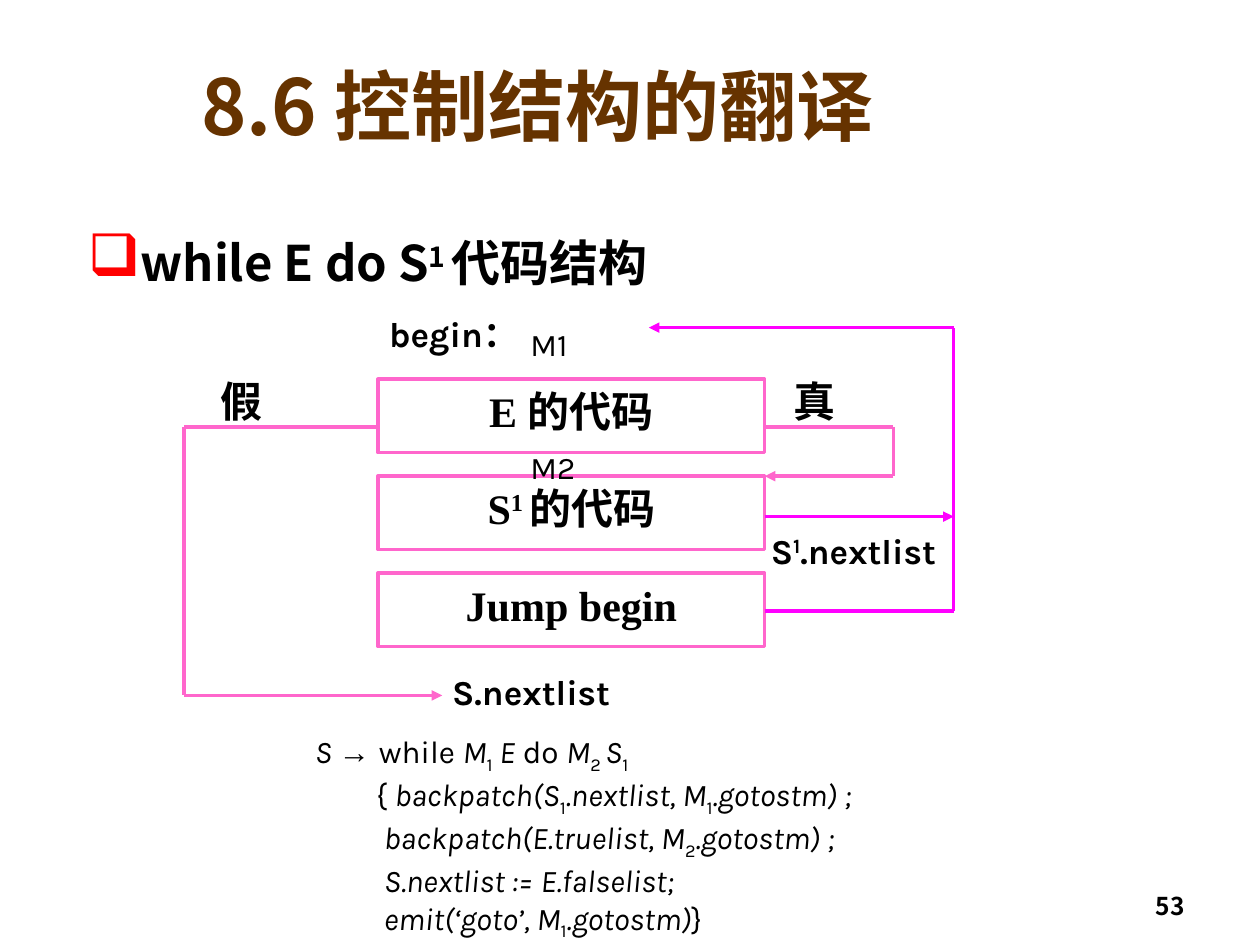
from itertools import pairwise

from lxml.etree import SubElement
from pptx import Presentation
from pptx.dml.color import RGBColor
from pptx.enum.shapes import MSO_CONNECTOR as Connector, MSO_SHAPE as Shape
from pptx.enum.text import MSO_ANCHOR as Anchor, PP_ALIGN as Align
from pptx.oxml.ns import qn
from pptx.util import Pt

COLORS = {"text": "000000", "title": "663300", "bullet": "FF0000",
          "box": "FFFFFF", "pink": "FF66CC", "magenta": "FF00FF"}
CJK, LATIN, SERIF = "Noto Sans CJK SC", "Karla", "Times New Roman"
STYLES = {"plain": {}, "italic": {"italic": True}, "arrow": {"name": "Arial"},
          "sub": {"baseline": -25000}, "sup": {"baseline": 30000}}


def color(key):
    """Return the named colour."""
    return RGBColor.from_string(COLORS[key])


def assign(target, values):
    """Set each attribute in a dict of format values."""
    for name, value in values.items():
        setattr(target, name, value)


def add_spans(para, spans, size, font, bold=False, ink="text"):
    """Add styled spans, given as a string or as text and style pairs."""
    pairs = [(spans, "plain")] if isinstance(spans, str) else spans
    for text, style in pairs:
        span = para.add_run()
        span.text = text
        values = {"size": Pt(size), "name": font, "bold": bold, **STYLES[style]}
        baseline = values.pop("baseline", None)
        assign(span.font, values)
        span.font.color.rgb = color(ink)
        props = span.font._element
        SubElement(props, qn("a:ea"), typeface=CJK)
        if baseline:
            props.set("baseline", str(baseline))


def add_text(page, box, spans, size, font, bold=False, ink="text",
             anchor=Anchor.TOP, align=Align.LEFT):
    """Place a wrapped text box and return its first paragraph."""
    frame = page.shapes.add_textbox(*map(Pt, box)).text_frame
    assign(frame, {"word_wrap": True, "vertical_anchor": anchor})
    para = frame.paragraphs[0]
    para.alignment = align
    add_spans(para, spans, size, font, bold, ink)
    return para


def add_heading(page, box):
    """Place the bulleted heading."""
    spans = [("while E do S", "plain"), ("1 ", "sup"), ("代码结构", "plain")]
    para = add_text(page, box, spans, 28, CJK, True)
    props = para._p.get_or_add_pPr()
    props.set("marL", str(Pt(30)))
    props.set("indent", str(Pt(-30)))
    tint = SubElement(props, qn("a:buClr"))
    SubElement(tint, qn("a:srgbClr"), val=COLORS["bullet"])
    SubElement(props, qn("a:buSzPct"), val="120000")
    SubElement(props, qn("a:buChar"), char="❑")


def add_code_box(page, box, spans):
    """Place one outlined box of the code layout."""
    block = page.shapes.add_shape(Shape.RECTANGLE, *map(Pt, box))
    block.shadow.inherit = False
    block.fill.solid()
    block.fill.fore_color.rgb = color("box")
    block.line.color.rgb = color("pink")
    block.line.width = Pt(2)
    frame = block.text_frame
    assign(frame, {"word_wrap": True, "vertical_anchor": Anchor.TOP})
    para = frame.paragraphs[0]
    para.alignment = Align.CENTER
    add_spans(para, spans, 24, SERIF, True)


def add_route(page, points, ink, arrow=True):
    """Join points with straight lines, the last one with an arrowhead."""
    for start, end in pairwise(points):
        line = page.shapes.add_connector(Connector.STRAIGHT, *map(Pt, start + end))
        line.line.color.rgb = color(ink)
        line.line.width = Pt(2)
        SubElement(line._element.spPr, qn("a:effectLst"))
        if arrow and end == points[-1]:
            SubElement(line.line._get_or_add_ln(), qn("a:tailEnd"), type="triangle")


def add_flow(page, box):
    """Place the code layout diagram of the while statement."""
    left, top, width, height = box
    box_left, box_width, box_height, step = 111, 221, 42, 55.4
    box_right = box_left + box_width
    codes = ["E 的代码",
             [("S", "plain"), ("1 ", "sup"), ("的代码", "plain")],
             "Jump begin"]
    for row, spans in enumerate(codes):
        place = (left + box_left, top + 41.7 + row * step, box_width, box_height)
        add_code_box(page, place, spans)

    test, body, entry, jump = 69, 120.2, 97.1, 174.2
    routes = [
        ([(box_left, test), (0, test), (0, height), (147.7, height)], "pink", True),
        ([(box_right, test), (405.5, test), (405.5, entry), (box_right, entry)],
         "pink", True),
        ([(box_right, body), (width, body)], "magenta", True),
        ([(box_right, jump), (width, jump), (width, 12.2), (265.8, 12.2)],
         "magenta", True),
    ]
    for points, ink, arrow in routes:
        add_route(page, [(left + x, top + y) for x, y in points], ink, arrow)

    next_list = [("S", "plain"), ("1", "sup"), (".nextlist", "plain")]
    labels = [
        (341.4, 36, 195, 36, "真", 24, CJK, True),
        (13.8, 36, 108, 36, "假", 24, CJK, True),
        (110.3, 0, 95.8, 31.7, "begin：", 20, LATIN, True),
        (146.3, 204.4, 194.4, 31.7, "S.nextlist", 20, LATIN, True),
        (328.4, 123.8, 116, 31.7, next_list, 20, LATIN, True),
        (191, 7.2, 43, 28.8, "M1", 18, LATIN, False),
        (191, 77.7, 43, 28.8, "M2", 18, LATIN, False),
    ]
    for x, y, wide, high, *content in labels:
        add_text(page, (left + x, top + y, wide, high), *content)


def add_scheme(page, box):
    """Place the translation scheme, one indented paragraph a line."""
    one, two = ("1", "sub"), ("2", "sub")
    lines = [
        (0, [("S ", "italic"), ("→ ", "arrow"), ("while ", "plain"),
             ("M", "italic"), one, (" E", "italic"), (" do ", "plain"),
             ("M", "italic"), ("2 ", "sub"), ("S", "italic"), one]),
        (35, [("{ ", "plain"), ("backpatch(S", "italic"), one,
              (".nextlist, M", "italic"), one, (".gotostm) ;", "italic")]),
        (39.5, [("backpatch(E.truelist, M", "italic"), two,
                (".gotostm) ;", "italic")]),
        (39.5, [("S.nextlist := E.falselist;", "italic")]),
        (39.5, [("emit(‘goto’, M", "italic"), one, (".gotostm)", "italic"),
                ("}", "plain")]),
    ]
    frame = page.shapes.add_textbox(*map(Pt, box)).text_frame
    frame.word_wrap = True
    for row, (indent, spans) in enumerate(lines):
        para = frame.add_paragraph() if row else frame.paragraphs[0]
        para._p.get_or_add_pPr().set("marL", str(Pt(indent)))
        add_spans(para, spans, 18, LATIN)


def main():
    """Build and save the slide."""
    deck = Presentation()
    assign(deck, {"slide_width": Pt(720), "slide_height": Pt(540)})
    page = deck.slides.add_slide(deck.slide_layouts[6])
    add_text(page, (516, 492, 168, 37.5), "53", 14, CJK, True,
             anchor=Anchor.BOTTOM, align=Align.RIGHT)
    add_text(page, (108, 30, 581, 60), "8.6 控制结构的翻译", 44, CJK, True,
             ink="title", anchor=Anchor.MIDDLE)
    add_heading(page, (43.2, 129.6, 384.5, 41))
    add_flow(page, (105, 175, 440, 222.4))
    add_scheme(page, (172.8, 414.7, 435.6, 127.4))
    deck.save("out.pptx")


if __name__ == "__main__":
    main()
